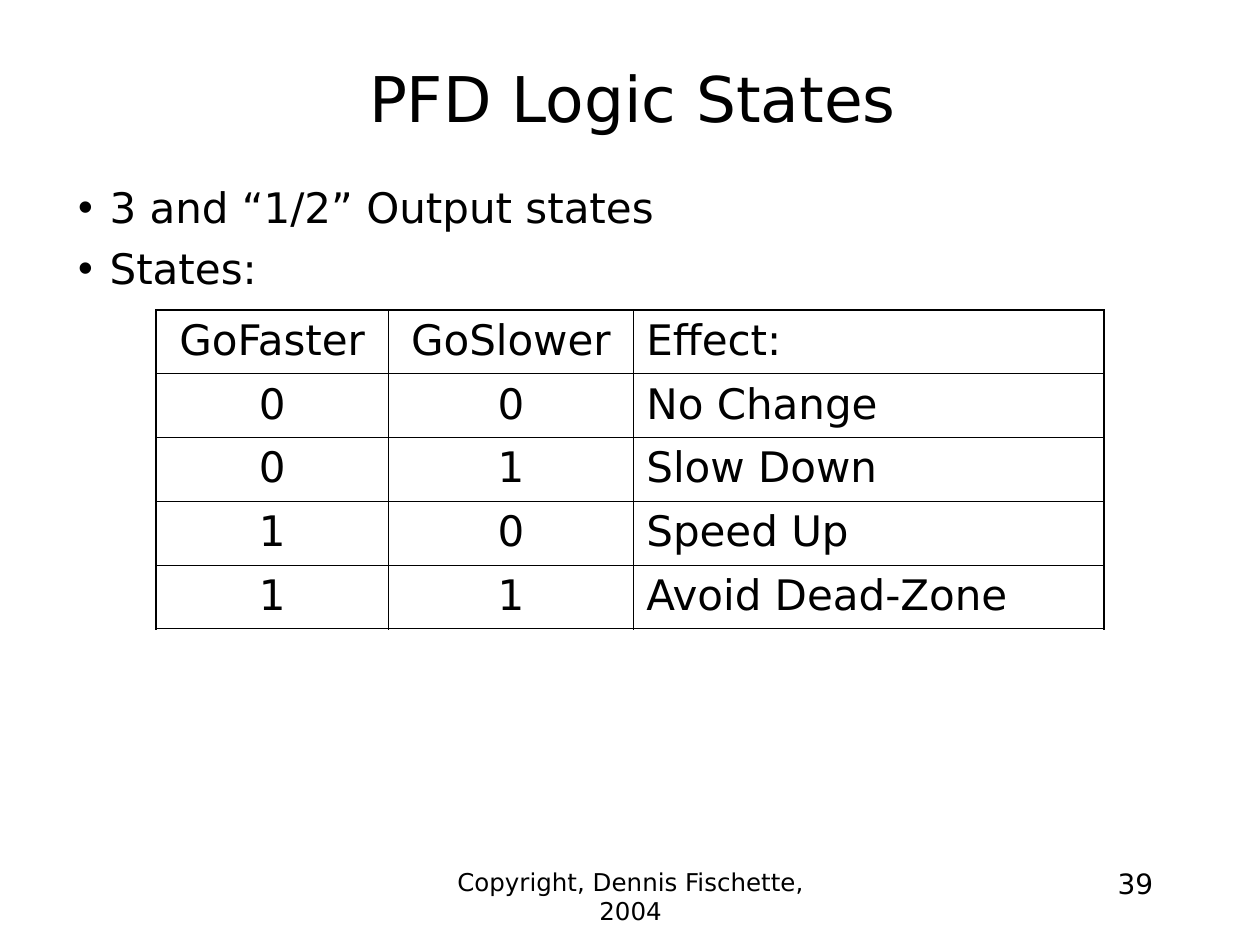
from lxml import etree
from pptx import Presentation
from pptx import util as u
from pptx.dml.color import RGBColor
from pptx.enum import text
from pptx.oxml import ns

BLACK = RGBColor(0x00, 0x00, 0x00)
FONT = "DejaVu Sans"
THIN, THICK = u.Pt(0.45), u.Pt(1.08)
ALIGN = text.PP_ALIGN


def style(p, size, align):
    p.alignment = align
    p.line_spacing = 1.0
    p.space_before = u.Pt(0)
    for r in p.runs:
        r.font.size = u.Pt(size)
        r.font.name = FONT
        r.font.color.rgb = BLACK


def place(sp, box):
    sp.left, sp.top, sp.width, sp.height = map(u.Inches, box)


def add_title(s, box, words):
    sp = s.shapes.title
    place(sp, box)
    tf = sp.text_frame
    tf.text = words
    tf.auto_size = text.MSO_AUTO_SIZE.NONE
    tf.vertical_anchor = text.MSO_ANCHOR.MIDDLE
    style(tf.paragraphs[0], 36, ALIGN.CENTER)


def add_bullets(s, box, items):
    sp = s.placeholders[1]
    place(sp, box)
    tf = sp.text_frame
    tf.text = "\n".join(items)
    tf.auto_size = text.MSO_AUTO_SIZE.NONE
    for i, p in enumerate(tf.paragraphs):
        pPr = p._p.get_or_add_pPr()
        pPr.set("marL", str(u.Inches(0.25)))
        pPr.set("indent", str(u.Inches(-0.25)))
        etree.SubElement(pPr, ns.qn("a:buChar"), char="•")
        style(p, 24, ALIGN.LEFT)
        if i:
            p.space_before = u.Pt(6)


def set_borders(cell, widths):
    tcPr = cell._tc.get_or_add_tcPr()
    for side, width in widths.items():
        ln = etree.SubElement(tcPr, ns.qn(f"a:ln{side}"), w=str(width))
        fill = etree.SubElement(ln, ns.qn("a:solidFill"))
        etree.SubElement(fill, ns.qn("a:srgbClr"), val=str(BLACK))


def add_state_table(s, box, col_widths, rows):
    n_rows, n_cols = len(rows), len(col_widths)
    tbl = s.shapes.add_table(n_rows, n_cols, *map(u.Inches, box)).table
    tbl.first_row = tbl.horz_banding = False
    for col, width in zip(tbl.columns, col_widths):
        col.width = u.Inches(width)
    for i, row in enumerate(rows):
        for j, words in enumerate(row):
            cell = tbl.cell(i, j)
            set_borders(cell, {
                "L": THICK if j == 0 else THIN,
                "R": THICK if j == n_cols - 1 else THIN,
                "T": THICK if i == 0 else THIN,
                "B": THICK if i == n_rows - 1 else THIN,
            })
            cell.fill.background()
            cell.text = words
            last = j == n_cols - 1
            style(cell.text_frame.paragraphs[0], 24, ALIGN.LEFT if last else ALIGN.CENTER)


def add_footer_text(s, box, words, size, align):
    tf = s.shapes.add_textbox(*map(u.Inches, box)).text_frame
    tf.word_wrap = True
    tf.text = words
    style(tf.paragraphs[0], size, align)


def main():
    prs = Presentation()
    prs.slide_width, prs.slide_height = u.Inches(10), u.Inches(7.5)
    s = prs.slides.add_slide(prs.slide_layouts[1])
    add_title(s, (0.52, 0.15, 9, 1.25), "PFD Logic States")
    add_bullets(s, (0.52, 1.39, 9, 1.15), ["3 and “1/2” Output states", "States:"])
    add_state_table(s, (1.24, 2.46, 7.52, 2.53), (1.84, 1.95, 3.73), [
        ("GoFaster", "GoSlower", "Effect:"),
        ("0", "0", "No Change"),
        ("0", "1", "Slow Down"),
        ("1", "0", "Speed Up"),
        ("1", "1", "Avoid Dead-Zone"),
    ])
    add_footer_text(s, (3.42, 6.83, 3.17, 0.5), "Copyright, Dennis Fischette, 2004", 14, ALIGN.CENTER)
    add_footer_text(s, (7.17, 6.83, 2.08, 0.5), "39", 16, ALIGN.RIGHT)
    prs.save("out.pptx")


if __name__ == "__main__":
    main()
